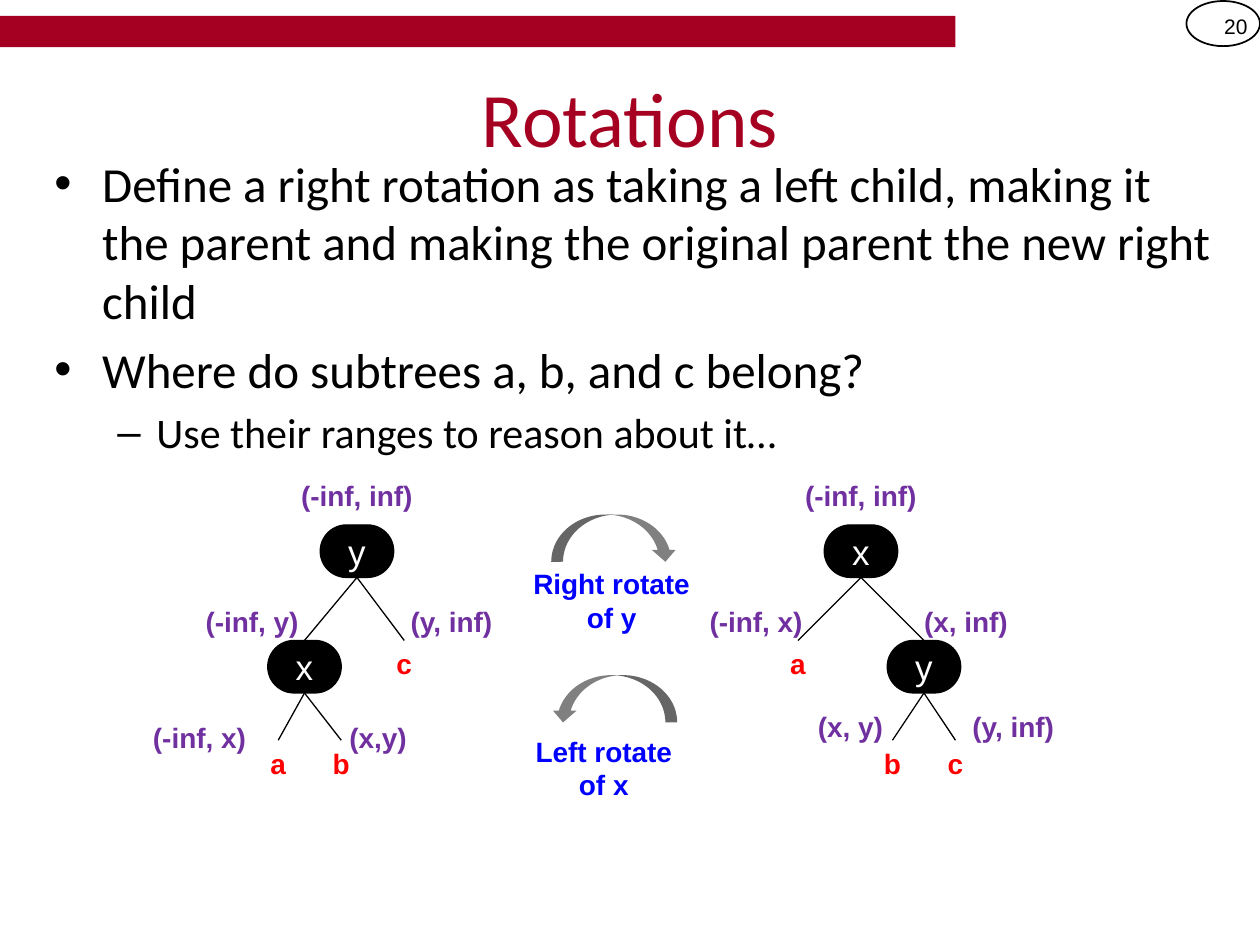
from lxml import etree
from pptx import Presentation
from pptx.dml.color import RGBColor
from pptx.enum.shapes import MSO_CONNECTOR, MSO_SHAPE
from pptx.enum.text import MSO_ANCHOR, PP_ALIGN
from pptx.oxml.ns import qn
from pptx.util import Inches, Pt

CENTER, LEFT, RIGHT = PP_ALIGN.CENTER, PP_ALIGN.LEFT, PP_ALIGN.RIGHT
MIDDLE, TOP = MSO_ANCHOR.MIDDLE, MSO_ANCHOR.TOP
RECTANGLE, OVAL = MSO_SHAPE.RECTANGLE, MSO_SHAPE.OVAL
ROUNDED, ARC_ARROW = MSO_SHAPE.ROUNDED_RECTANGLE, MSO_SHAPE.CURVED_DOWN_ARROW
STRAIGHT = MSO_CONNECTOR.STRAIGHT
BLACK, WHITE, CRIMSON = "000000", "FFFFFF", "A50021"
PURPLE, RED, BLUE, GRAY = "7030A0", "FF0000", "0000FF", "808080"
UNITS_PER_INCH = 24
NODE_WIDTH, NODE_HEIGHT, LINE_HEIGHT, RANGE_WIDTH = 14, 10, 9, 30
ROOT_ROW, CHILD_ROW, LEAF_ROW = 10, 32, 51

LEFT_TREE = dict(
    root="y", child=("x", -10), leaf_width=12,
    root_leaf=("c", 9), child_leaves=[("a", -15), ("b", -3)],
    ranges=[("(-inf, inf)", 0, 0), ("(-inf, y)", -20, 24), ("(y, inf)", 18, 24),
            ("(-inf, x)", -30, 46), ("(x,y)", 4, 46)])
RIGHT_TREE = dict(
    root="x", child=("y", 12), leaf_width=14,
    root_leaf=("a", -12), child_leaves=[("b", 6), ("c", 18)],
    ranges=[("(-inf, inf)", 0, 0), ("(-inf, x)", -20, 24), ("(x, inf)", 20, 24),
            ("(x, y)", -2, 44), ("(y, inf)", 29, 44)])


def units(value):
    """Convert grid units to a slide length."""
    return Inches(value / UNITS_PER_INCH)


def color(hex_code):
    """Turn a hex string into a colour."""
    return RGBColor.from_string(hex_code)


def format_text(paragraph, text, size=16, font="Arial", ink=BLACK, bold=False, align=CENTER):
    """Write text into a paragraph with its format."""
    paragraph.text = text
    paragraph.alignment = align
    paragraph.font.size = Pt(size)
    paragraph.font.name = font
    paragraph.font.bold = bold
    paragraph.font.color.rgb = color(ink)


def add_text(slide, box, text, anchor=TOP, **text_format):
    """Add a wrapped text box with one paragraph."""
    shape = slide.shapes.add_textbox(*map(units, box))
    shape.text_frame.word_wrap = True
    shape.text_frame.vertical_anchor = anchor
    format_text(shape.text_frame.paragraphs[0], text, **text_format)
    return shape


def add_figure(slide, kind, box, fill=None, line=None, width=0.75):
    """Add a flat preset shape."""
    shape = slide.shapes.add_shape(kind, *map(units, box))
    shape.shadow.inherit = False
    if fill:
        shape.fill.solid()
        shape.fill.fore_color.rgb = color(fill)
    else:
        shape.fill.background()
    if line:
        shape.line.color.rgb = color(line)
        shape.line.width = Pt(width)
    else:
        shape.line.fill.background()
    return shape


def add_node(slide, center, top, name):
    """Add a named tree node."""
    box = (center - NODE_WIDTH / 2, top, NODE_WIDTH, NODE_HEIGHT)
    node = add_figure(slide, ROUNDED, box, fill=BLACK, line=BLACK)
    node.adjustments[0] = 0.5
    node.text_frame.margin_left = node.text_frame.margin_right = 0
    node.text_frame.vertical_anchor = MIDDLE
    format_text(node.text_frame.paragraphs[0], name, size=20, ink=WHITE)
    return node


def add_edge(slide, parent, end, child=None):
    """Draw a line from a parent's bottom to a point or a child node."""
    edge = slide.shapes.add_connector(STRAIGHT, 0, 0, *map(units, end))
    edge.begin_connect(parent, 2)
    if child is not None:
        edge.end_connect(child, 0)
    edge.line.color.rgb = color(BLACK)
    edge.line.width = Pt(0.75)
    etree.SubElement(edge._element.spPr, qn("a:effectLst"))


def add_leaf(slide, parent, center, top, name, width):
    """Add a subtree letter and the edge that leads to it."""
    add_edge(slide, parent, (center, top))
    add_text(slide, (center - width / 2, top, width, LINE_HEIGHT), name, ink=RED, bold=True)


def add_tree(slide, box, root, child, leaf_width, root_leaf, child_leaves, ranges):
    """Draw a two-node tree around the middle of its box."""
    left, top, width, _ = box
    middle = left + width / 2
    root_node = add_node(slide, middle, top + ROOT_ROW, root)
    child_name, child_offset = child
    child_center, child_top = middle + child_offset, top + CHILD_ROW
    child_node = add_node(slide, child_center, child_top, child_name)
    add_edge(slide, root_node, (child_center, child_top), child_node)
    leaves = [(root_node, CHILD_ROW, root_leaf)]
    leaves += [(child_node, LEAF_ROW, leaf) for leaf in child_leaves]
    for parent, row, (name, offset) in leaves:
        add_leaf(slide, parent, middle + offset, top + row, name, leaf_width)
    for text, offset, row in ranges:
        label_box = (middle + offset - RANGE_WIDTH / 2, top + row, RANGE_WIDTH, LINE_HEIGHT)
        add_text(slide, label_box, text, ink=PURPLE, bold=True)


def add_rotation(slide, box, text, label_offset, label_width, flipped=False):
    """Add a curved arrow with its caption below."""
    left, top, width, _ = box
    arrow = add_figure(slide, ARC_ARROW, (left + 6, top, width, LINE_HEIGHT), fill=GRAY)
    if flipped:
        arrow._element.spPr.find(qn("a:xfrm")).set("flipH", "1")
    label_box = (left, top + label_offset, label_width, 15)
    add_text(slide, label_box, text, ink=BLUE, bold=True)


def add_header(slide, box, number):
    """Add the top bar and the page number in its ellipse."""
    left, top, width, height = box
    add_figure(slide, RECTANGLE, (left, top + 3, 182, 6), fill=CRIMSON)
    badge_left = left + width - NODE_WIDTH
    add_figure(slide, OVAL, (badge_left, top + 0.2, NODE_WIDTH, height - 0.4), line=BLACK, width=1)
    add_text(slide, (badge_left, top + 0.2, NODE_WIDTH, 9.6), number,
             anchor=MIDDLE, size=12, align=RIGHT)


def place_title(slide, box, text):
    """Move and format the title placeholder."""
    title = slide.shapes.title
    title.left, title.top, title.width, title.height = map(units, box)
    title.text_frame.vertical_anchor = MIDDLE
    format_text(title.text_frame.paragraphs[0], text, size=44, font="Calibri", ink=CRIMSON)


def add_bullets(slide, box, items):
    """Add a bulleted list of text, mark, size, margin and hanging indent."""
    frame = add_text(slide, box, "").text_frame
    for index, (text, mark, size, margin, hanging) in enumerate(items):
        paragraph = frame.add_paragraph() if index else frame.paragraphs[0]
        properties = paragraph._p.get_or_add_pPr()
        properties.set("marL", str(Inches(margin)))
        properties.set("indent", str(-Inches(hanging)))
        if index:
            paragraph.space_before = Pt(size * 0.2)
        for old in properties.findall(qn("a:defRPr")):
            properties.remove(old)
        etree.SubElement(properties, qn("a:buFont")).set("typeface", "Arial")
        etree.SubElement(properties, qn("a:buChar")).set("char", mark)
        format_text(paragraph, text, size=size, font="Calibri", align=LEFT)


def main():
    """Build and save the slide."""
    presentation = Presentation()
    presentation.slide_width, presentation.slide_height = Inches(10), Inches(7.5)
    slide = presentation.slides.add_slide(presentation.slide_layouts[5])
    add_header(slide, (0, 0, 240, 9), "20")
    place_title(slide, (12, 7.2, 216, 30), "Rotations")
    add_bullets(slide, (8, 28, 226, 38), [
        ("Define a right rotation as taking a left child, making it the parent "
         "and making the original parent the new right child", "•", 28, 0.38, 0.38),
        ("Where do subtrees a, b, and c belong?", "•", 28, 0.38, 0.38),
        ("Use their ranges to reason about it…", "–", 24, 0.81, 0.31)])
    add_tree(slide, (28, 90, 80, 60), **LEFT_TREE)
    add_tree(slide, (124, 90, 80, 60), **RIGHT_TREE)
    add_rotation(slide, (99, 98, 24, 24), "Right rotate of y", 8.8, 35)
    add_rotation(slide, (99, 128.6, 24, 24), "Left rotate of x", 10.1, 32, flipped=True)
    presentation.save("out.pptx")


if __name__ == "__main__":
    main()
